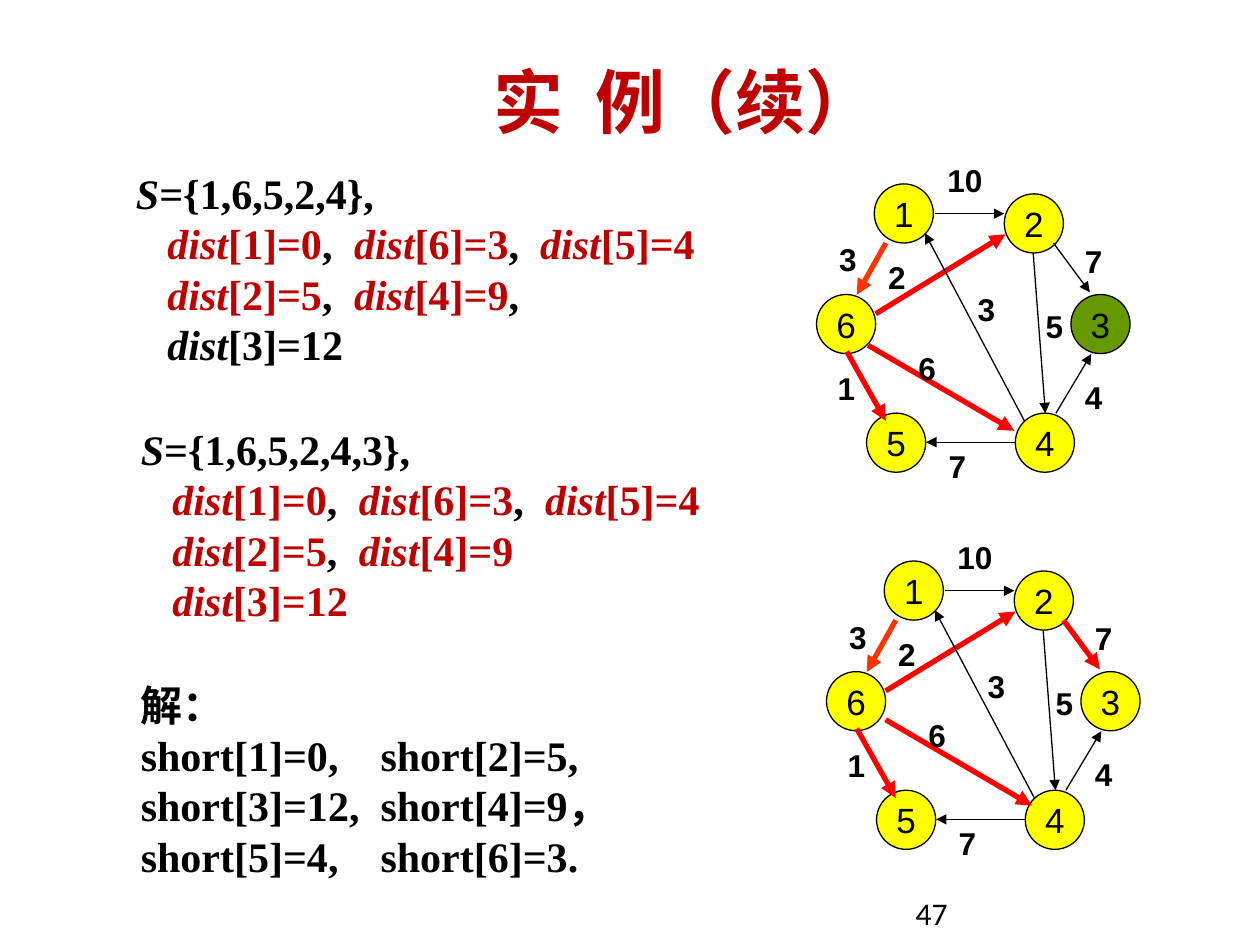
from lxml import etree
from pptx import Presentation
from pptx.dml.color import RGBColor
from pptx.enum.shapes import MSO_CONNECTOR, MSO_SHAPE
from pptx.enum.text import MSO_ANCHOR, PP_ALIGN
from pptx.oxml.ns import qn
from pptx.util import Pt

BLACK = RGBColor(0x00, 0x00, 0x00)
CRIMSON = RGBColor(0xC0, 0x00, 0x00)
RED = RGBColor(0xFF, 0x00, 0x00)
ORANGE = RGBColor(0xFF, 0x33, 0x00)
YELLOW = RGBColor(0xFF, 0xFF, 0x00)
GREEN = RGBColor(0x66, 0x99, 0x00)
OVAL = MSO_SHAPE.OVAL
STRAIGHT = MSO_CONNECTOR.STRAIGHT
CENTER = PP_ALIGN.CENTER
MIDDLE = MSO_ANCHOR.MIDDLE

NODE_SIZE = 33.8
THIN, THICK = 0.75, 3
DIST_TABS = (18, 124.6, 231)
SHORT_TABS = (137,)

NODES = {
    "1": (33, 0), "2": (107.3, 5.7), "3": (145.4, 63.2),
    "4": (113.6, 131), "5": (28.6, 131), "6": (0, 63.2),
}
EDGES = [
    ((67.7, 17), (107.3, 17), BLACK, THIN),
    ((39.6, 33.8), (23, 63.4), ORANGE, THICK),
    ((33.8, 74.2), (108, 28.8), RED, THICK),
    ((17.3, 95.8), (39.6, 135.4), RED, THICK),
    ((123.8, 39.6), (130.8, 131), BLACK, THIN),
    ((118.8, 135.4), (61.9, 28.1), BLACK, THIN),
    ((136.8, 131), (157, 97.2), BLACK, THIN),
    ((113.8, 147.6), (62.6, 147.6), BLACK, THIN),
]
EDGE_2_TO_3 = ((135.4, 33.8), (156.2, 61.9))
WEIGHTS = [
    ("10", 67.7, -16.6), ("3", 5.8, 28.8), ("2", 33.8, 38.9),
    ("3", 85, 56.9), ("5", 123.8, 67), ("7", 146.2, 29.5),
    ("4", 146.2, 107.3), ("7", 68.4, 146.9), ("1", 5, 102.2),
]


def style(font, name, size, color=BLACK, bold=False):
    """Set the face, size, colour and weight of a font."""
    font.name, font.size, font.bold = name, Pt(size), bold
    font.color.rgb = color


def add_text_frame(slide, left, top, width, height):
    """Add a wrapping text box and return its text frame."""
    frame = slide.shapes.add_textbox(
        Pt(left), Pt(top), Pt(width), Pt(height)).text_frame
    frame.word_wrap = True
    return frame


def add_label(slide, box, text, name, size, color=BLACK, bold=False):
    """Add one line of text and return its text frame."""
    frame = add_text_frame(slide, *box)
    frame.text = text
    style(frame.paragraphs[0].font, name, size, color, bold)
    return frame


def add_title(slide, box):
    """Add the centred slide title."""
    frame = add_label(slide, box, "实  例（续）", "Calibri", 40, CRIMSON, True)
    frame.vertical_anchor = MIDDLE
    frame.paragraphs[0].alignment = CENTER


def add_line(frame, tabs=()):
    """Return the next bold serif paragraph, with its tab stops."""
    first = frame.paragraphs[0]
    line = frame.add_paragraph() if first.runs else first
    line.line_spacing = Pt(28.8)
    style(line.font, "Times New Roman", 24, BLACK, True)
    if tabs:
        properties = line._p.get_or_add_pPr()
        stops = etree.Element(qn("a:tabLst"))
        for position in tabs:
            etree.SubElement(stops, qn("a:tab"), pos=str(Pt(position)), algn="l")
        properties.find(qn("a:defRPr")).addprevious(stops)
    return line


def add_run(line, text, color=BLACK, italic=False):
    """Append a run in the given colour and slant."""
    run = line.add_run()
    run.text = text
    run.font.color.rgb = color
    run.font.italic = italic


def add_step(slide, box, members, rows):
    """Add the set S and the rows of distances below it."""
    frame = add_text_frame(slide, *box)
    heading = add_line(frame)
    add_run(heading, "S", italic=True)
    add_run(heading, f"={{{members}}},")
    for distances, ending, color in rows:
        line = add_line(frame, DIST_TABS)
        add_run(line, "\t")
        for position, distance in enumerate(distances):
            if position:
                add_run(line, ",\t")
            add_run(line, "dist", color, True)
            add_run(line, distance, color)
        if ending:
            add_run(line, ending)


def add_solution(slide, box):
    """Add the final shortest path lengths."""
    frame = add_text_frame(slide, *box)
    for text in ("解：", "short[1]=0,\tshort[2]=5,",
                 "short[3]=12,\tshort[4]=9，", "short[5]=4,\tshort[6]=3."):
        add_run(add_line(frame, SHORT_TABS), text)


def add_node(slide, left, top, number, fill):
    """Add a numbered graph node."""
    node = slide.shapes.add_shape(
        OVAL, Pt(left), Pt(top), Pt(NODE_SIZE), Pt(NODE_SIZE))
    node.shadow.inherit = False
    node.fill.solid()
    node.fill.fore_color.rgb = fill
    node.line.color.rgb = BLACK
    node.line.width = Pt(THIN)
    frame = node.text_frame
    frame.text = number
    frame.word_wrap = False
    frame.vertical_anchor = MIDDLE
    frame.paragraphs[0].alignment = CENTER
    style(frame.paragraphs[0].font, "Arial", 20)


def add_edge(slide, left, top, start, end, color, width):
    """Add an arrow between two points of the graph box."""
    edge = slide.shapes.add_connector(
        STRAIGHT, Pt(left + start[0]), Pt(top + start[1]),
        Pt(left + end[0]), Pt(top + end[1]))
    edge.line.color.rgb = color
    edge.line.width = Pt(width)
    etree.SubElement(edge.line._get_or_add_ln(), qn("a:tailEnd"), type="triangle")
    etree.SubElement(edge._element.spPr, qn("a:effectLst"))


def add_graph(slide, left, top, node_3_fill, edge_2_to_3_style, edge_6_to_4, weight_6_top):
    """Add the weighted graph with its origin at left, top."""
    for number, (x, y) in NODES.items():
        fill = node_3_fill if number == "3" else YELLOW
        add_node(slide, left + x, top + y, number, fill)
    edges = EDGES + [(*EDGE_2_TO_3, *edge_2_to_3_style), (*edge_6_to_4, RED, THICK)]
    for edge in edges:
        add_edge(slide, left, top, *edge)
    for weight, x, y in WEIGHTS + [("6", 51.1, weight_6_top)]:
        add_label(slide, (left + x, top + y, 39.6, 28.8), weight, "Arial", 18, bold=True)


def main():
    """Build and save the slide."""
    deck = Presentation()
    deck.slide_width, deck.slide_height = Pt(720), Pt(540)
    slide = deck.slides.add_slide(deck.slide_layouts[6])
    add_title(slide, (67, 32.4, 648, 49.7))
    first_row = (("[1]=0", "[6]=3", "[5]=4"), "", CRIMSON)
    second_row = ("[2]=5", "[4]=9")
    add_step(slide, (70.6, 92, 351.4, 123.8), "1,6,5,2,4",
             [first_row, (second_row, ",", CRIMSON), (("[3]=12",), "", BLACK)])
    add_step(slide, (73.4, 238.4, 360, 123.8), "1,6,5,2,4,3",
             [first_row, (second_row, "", CRIMSON), (("[3]=12",), "", CRIMSON)])
    add_solution(slide, (73.4, 384.5, 360, 123.8))
    add_graph(slide, 466.6, 105.1, GREEN, (BLACK, THIN),
              ((29.5, 92.2), (113, 141.1)), 90.7)
    add_graph(slide, 472.3, 320.6, YELLOW, (RED, THICK),
              ((33.8, 90.7), (117.4, 139.7)), 85)
    add_label(slide, (516.2, 507.6, 167.8, 28.8), "47", "Calibri", 18)
    deck.save("out.pptx")


if __name__ == "__main__":
    main()
